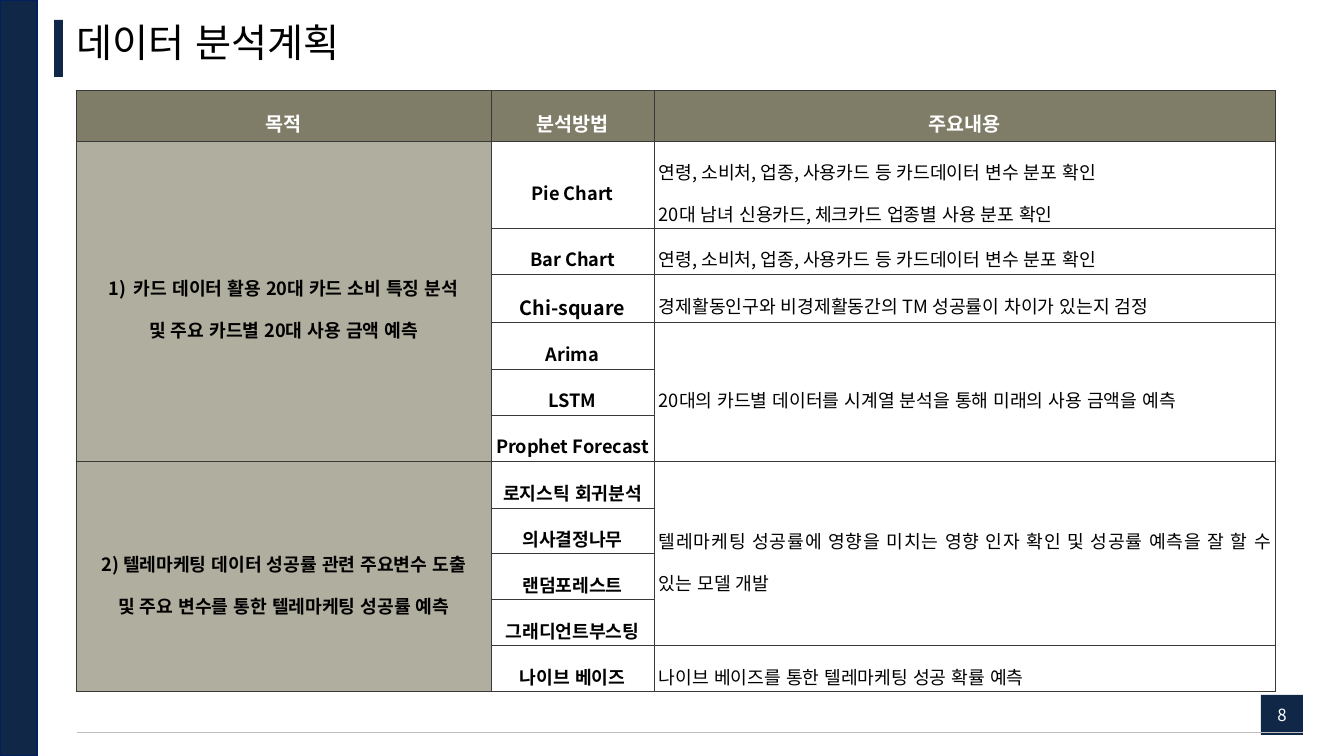
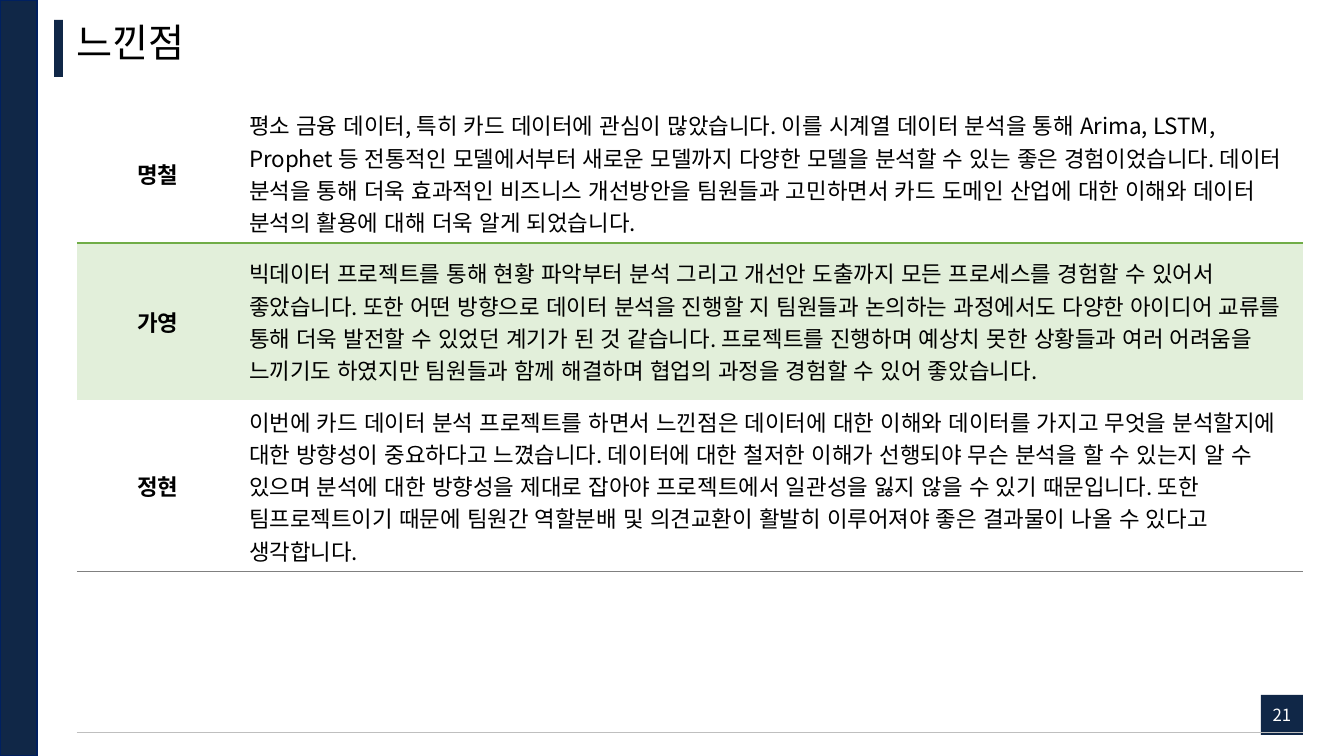
from lxml.etree import SubElement
from pptx import Presentation
from pptx.dml.color import RGBColor
from pptx.enum.lang import MSO_LANGUAGE_ID
from pptx.enum.shapes import MSO_CONNECTOR, MSO_SHAPE
from pptx.enum.text import MSO_ANCHOR, PP_ALIGN
from pptx.oxml.ns import qn
from pptx.util import Pt

PX = 9071  # EMU per px, 100.8 px to the inch
FONT = "Noto Sans CJK KR"
NAVY, NAVY_EDGE, RULE = "102747", "002060", "BFBFBF"
BLACK, WHITE = "000000", "FFFFFF"
HEADER, PURPOSE, GRID = "7F7C67", "B0AE9E", "3B3838"
GREEN, PALE_GREEN, GREY = "70AD47", "E2EFDA", "808080"
NO_GRID_STYLE = "{2D5ABB26-0587-4C30-8999-92F81FD0307C}"
LEFT, CENTER, JUSTIFY = PP_ALIGN.LEFT, PP_ALIGN.CENTER, PP_ALIGN.JUSTIFY
rgb = RGBColor.from_string


def write(tf, text, size, color=BLACK, bold=False, align=LEFT, spacing=1.0):
    tf.text = text
    for p in tf.paragraphs:
        p.alignment, p.line_spacing = align, spacing
        for r in p.runs:
            r.font.size, r.font.bold, r.font.name = Pt(size), bold, FONT
            r.font.language_id = MSO_LANGUAGE_ID.KOREAN
            r.font.color.rgb = rgb(color)
            SubElement(r.font._element, qn("a:ea"), typeface=FONT)


def dress(cell, edges, fill=None):
    """Draw the borders in edges, {side: (colour, points)}, then the fill."""
    tcPr = cell._tc.get_or_add_tcPr()
    for side in "LRTB":
        color, width = edges.get(side, (None, 0))
        ln = SubElement(tcPr, qn(f"a:ln{side}"), w=str(Pt(width)))
        if color:
            solid = SubElement(ln, qn("a:solidFill"))
            SubElement(solid, qn("a:srgbClr"), val=color)
        else:
            SubElement(ln, qn("a:noFill"))
    if fill:
        cell.fill.solid()
        cell.fill.fore_color.rgb = rgb(fill)
    else:
        cell.fill.background()


prs = Presentation()
prs.slide_width, prs.slide_height = 1344 * PX, 756 * PX

# Frame and empty table of each slide
pages = [
    ("데이터 분석계획", "8", (76, 90), [415, 163, 622],
     [51, 87, 46, 48, 47, 46, 46, 47, 46, 46, 46, 46]),
    ("느낀점", "21", (77, 104), [162, 1064], [139, 157, 172]),
]
tables = []
for title, number, (left, top), widths, heights in pages:
    s = prs.slides.add_slide(prs.slide_layouts[6])
    tf = s.shapes.add_textbox(77 * PX, 6 * PX, 1241 * PX, 78 * PX).text_frame
    tf.word_wrap, tf.vertical_anchor = True, MSO_ANCHOR.MIDDLE
    tf.margin_left = tf.margin_right = tf.margin_top = tf.margin_bottom = 0
    write(tf, title, 28, spacing=0.9)

    bands = []
    for box in [(0, 0, 37, 756), (54, 20, 9, 57), (1261, 695, 42, 40)]:
        sp = s.shapes.add_shape(MSO_SHAPE.RECTANGLE, *(n * PX for n in box))
        sp.shadow.inherit = False
        sp.fill.solid()
        sp.fill.fore_color.rgb = rgb(NAVY)
        sp.line.fill.background()
        bands.append(sp)
    sidebar, title_bar, badge = bands
    sidebar.line.color.rgb = rgb(NAVY_EDGE)
    sidebar.line.width = Pt(1)
    badge.text_frame.vertical_anchor = MSO_ANCHOR.MIDDLE
    write(badge.text_frame, number, 12, WHITE, align=CENTER)

    rule = s.shapes.add_connector(
        MSO_CONNECTOR.STRAIGHT, 77 * PX, 732 * PX, 1303 * PX, 732 * PX)
    rule.line.color.rgb = rgb(RULE)
    rule.line.width = Pt(0.5)
    SubElement(rule._element.spPr, qn("a:effectLst"))

    table = s.shapes.add_table(
        len(heights), len(widths), left * PX, top * PX,
        sum(widths) * PX, sum(heights) * PX).table
    table.first_row = table.horz_banding = False
    table._tbl.tblPr.find(qn("a:tableStyleId")).text = NO_GRID_STYLE
    for column, width in zip(table.columns, widths):
        column.width = width * PX
    for row, height in zip(table.rows, heights):
        row.height = height * PX
    tables.append(table)
plan, reviews = tables

# Analysis plan: purposes and contents as (first row, rows spanned, text)
purposes = [
    (1, 6, "카드 데이터 활용 20대 카드 소비 특징 분석\n및 주요 카드별 20대 사용 금액 예측"),
    (7, 5, "2) 텔레마케팅 데이터 성공률 관련 주요변수 도출\n"
           "및 주요 변수를 통한 텔레마케팅 성공률 예측"),
]
methods = [
    "Pie Chart", "Bar Chart", "Chi-square", "Arima", "LSTM", "Prophet Forecast",
    "로지스틱 회귀분석", "의사결정나무", "랜덤포레스트", "그래디언트부스팅", "나이브 베이즈",
]
contents = [
    (1, 1, "연령, 소비처, 업종, 사용카드 등 카드데이터 변수 분포 확인\n"
           "20대 남녀 신용카드, 체크카드 업종별 사용 분포 확인"),
    (2, 1, "연령, 소비처, 업종, 사용카드 등 카드데이터 변수 분포 확인"),
    (3, 1, "경제활동인구와 비경제활동간의 TM 성공률이 차이가 있는지 검정"),
    (4, 3, "20대의 카드별 데이터를 시계열 분석을 통해 미래의 사용 금액을 예측"),
    (7, 4, "텔레마케팅 성공률에 영향을 미치는 영향 인자 확인 및 "
           "성공률 예측을 잘 할 수 있는 모델 개발"),
    (11, 1, "나이브 베이즈를 통한 텔레마케팅 성공 확률 예측"),
]
grid = {side: (GRID, 0.75) for side in "LRTB"}
for i in range(len(plan.rows)):
    for j in range(len(plan.columns)):
        cell = plan.cell(i, j)
        cell.margin_left = cell.margin_right = 5 * PX
        cell.margin_top = cell.margin_bottom = 1 * PX
        cell.vertical_anchor = MSO_ANCHOR.MIDDLE if i else MSO_ANCHOR.TOP
        dress(cell, grid, HEADER if i == 0 else PURPOSE if j == 0 else None)

for j, heading in enumerate(["목적", "분석방법", "주요내용"]):
    write(plan.cell(0, j).text_frame, heading, 14, WHITE, True, CENTER, 1.6)
for i, method in enumerate(methods, 1):
    size = 14 if method == "Chi-square" else 13
    write(plan.cell(i, 1).text_frame, method, size, BLACK, True, CENTER, 1.6)
for j, entries, bold, align in [(0, purposes, True, CENTER), (2, contents, False, JUSTIFY)]:
    for i, span, text in entries:
        cell = plan.cell(i, j)
        if span > 1:
            cell.merge(plan.cell(i + span - 1, j))
        write(cell.text_frame, text, 13, BLACK, bold, align, 1.6)

pPr = plan.cell(1, 0).text_frame.paragraphs[0]._p.get_or_add_pPr()
pPr.set("marL", str(25 * PX))
pPr.set("indent", str(-25 * PX))
SubElement(pPr, qn("a:buFont"), typeface=FONT)
SubElement(pPr, qn("a:buAutoNum"), type="arabicParenR")

# Team reviews
members = [
    ("명철", None, {"B": (GREEN, 1)},
     "평소 금융 데이터, 특히 카드 데이터에 관심이 많았습니다. 이를 시계열 데이터 분석을 통해 "
     "Arima, LSTM, Prophet 등 전통적인 모델에서부터 새로운 모델까지 다양한 모델을 분석할 수 있는 "
     "좋은 경험이었습니다. 데이터 분석을 통해 더욱 효과적인 비즈니스 개선방안을 팀원들과 "
     "고민하면서 카드 도메인 산업에 대한 이해와 데이터 분석의 활용에 대해 더욱 알게 되었습니다."),
    ("가영", PALE_GREEN, {"T": (GREEN, 1)},
     "빅데이터 프로젝트를 통해 현황 파악부터 분석 그리고 개선안 도출까지 모든 프로세스를 경험할 수 "
     "있어서 좋았습니다. 또한 어떤 방향으로 데이터 분석을 진행할 지 팀원들과 논의하는 과정에서도 "
     "다양한 아이디어 교류를 통해 더욱 발전할 수 있었던 계기가 된 것 같습니다. 프로젝트를 진행하며 "
     "예상치 못한 상황들과 여러 어려움을 느끼기도 하였지만 팀원들과 함께 해결하며 협업의 과정을 "
     "경험할 수 있어 좋았습니다."),
    ("정현", None, {"B": (GREY, 0.75)},
     "이번에 카드 데이터 분석 프로젝트를 하면서 느낀점은 데이터에 대한 이해와 데이터를 가지고 무엇을 "
     "분석할지에 대한 방향성이 중요하다고 느꼈습니다. 데이터에 대한 철저한 이해가 선행되야 무슨 "
     "분석을 할 수 있는지 알 수 있으며 분석에 대한 방향성을 제대로 잡아야 프로젝트에서 일관성을 잃지 "
     "않을 수 있기 때문입니다. 또한 팀프로젝트이기 때문에 팀원간 역할분배 및 의견교환이 활발히 "
     "이루어져야 좋은 결과물이 나올 수 있다고 생각합니다."),
]
for i, (name, fill, edges, review) in enumerate(members):
    for j, (text, bold, align) in enumerate([(name, True, CENTER), (review, False, LEFT)]):
        cell = reviews.cell(i, j)
        cell.vertical_anchor = MSO_ANCHOR.MIDDLE
        dress(cell, edges, fill)
        write(cell.text_frame, text, 16, BLACK, bold, align)

prs.save("out.pptx")
